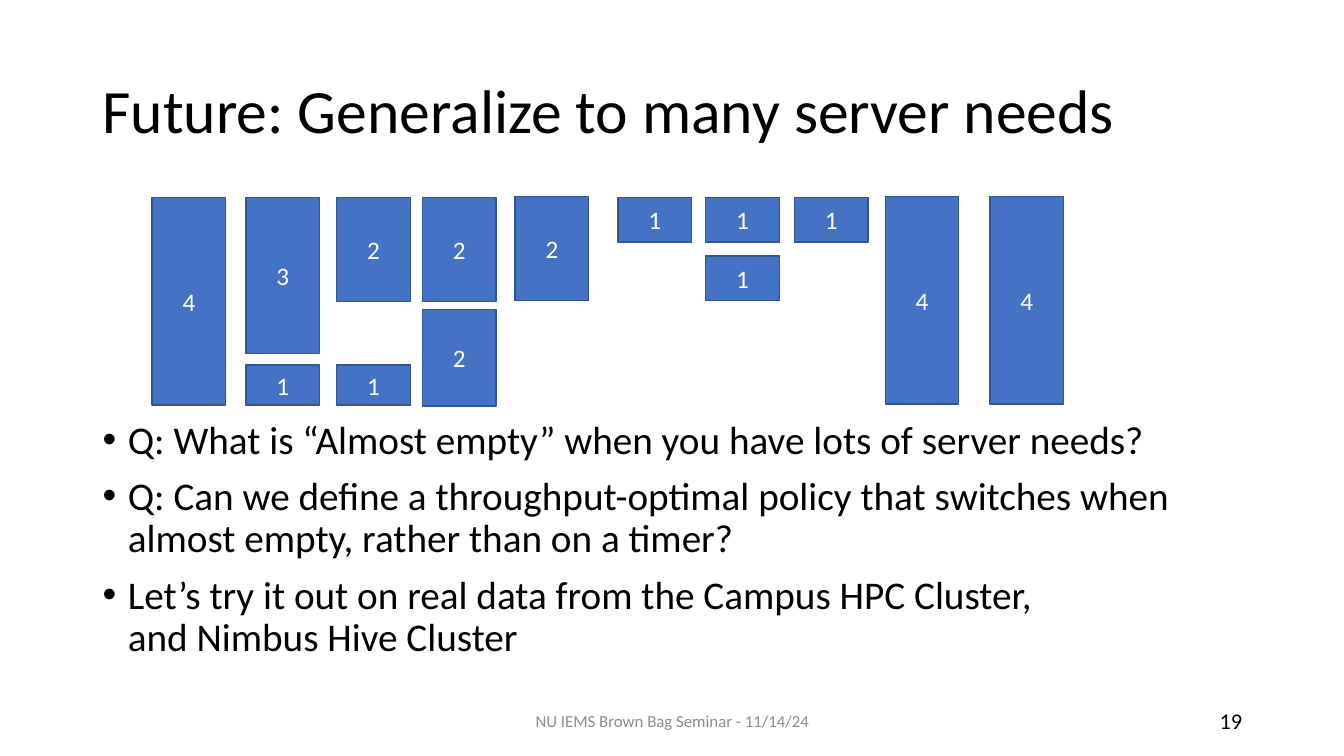
from lxml import etree
from pptx import Presentation
from pptx import util as u
from pptx.dml.color import RGBColor
from pptx.enum import shapes, text
from pptx.oxml.ns import qn

FONT = "Calibri"
BLACK, WHITE, GREY = "000000", "FFFFFF", "8C8C8C"
JOB_FILL, JOB_LINE = "4472C4", "325491"
JOB_WIDTH = 0.73

# Each job: server need, left, top, height
JOBS = [
    (4, 1.51, 1.96, 2.06),
    (3, 2.44, 1.96, 1.55),
    (1, 2.44, 3.62, 0.4),
    (2, 3.34, 1.96, 1.03),
    (1, 3.34, 3.62, 0.4),
    (2, 4.19, 1.96, 1.03),
    (2, 4.19, 3.07, 0.96),
    (2, 5.11, 1.95, 1.03),
    (1, 6.13, 1.96, 0.44),
    (1, 7, 1.96, 0.44),
    (1, 7, 2.54, 0.44),
    (1, 7.88, 1.96, 0.44),
    (4, 8.78, 1.95, 2.06),
    (4, 9.82, 1.95, 2.06),
]

QUESTIONS = [
    "Q: What is “Almost empty” when you have lots of server needs?",
    "Q: Can we define a throughput-optimal policy that switches when "
    "almost empty, rather than on a timer?",
    "Let’s try it out on real data from the Campus HPC Cluster,\n"
    "and Nimbus Hive Cluster",
]


def rgb(value):
    return RGBColor.from_string(value)


def format_paragraph(paragraph, size, color, align):
    paragraph.alignment = align
    for run in paragraph.runs:
        run.font.name = FONT
        run.font.size = u.Pt(size)
        run.font.color.rgb = rgb(color)


def add_text(slide, box, lines, size, color=BLACK, align=text.PP_ALIGN.LEFT,
             anchor=text.MSO_ANCHOR.MIDDLE):
    shape = slide.shapes.add_textbox(*(u.Inches(length) for length in box))
    frame = shape.text_frame
    frame.word_wrap = True
    frame.vertical_anchor = anchor
    for index, line in enumerate(lines):
        paragraph = frame.add_paragraph() if index else frame.paragraphs[0]
        paragraph.text = line
        format_paragraph(paragraph, size, color, align)
    return frame


def add_bullet(paragraph):
    paragraph.line_spacing = 0.9
    paragraph.space_before = u.Pt(10)
    properties = paragraph._p.get_or_add_pPr()
    properties.set("marL", str(u.Inches(0.25)))
    properties.set("indent", str(u.Inches(-0.25)))
    etree.SubElement(properties, qn("a:buFont")).set("typeface", "Arial")
    etree.SubElement(properties, qn("a:buChar")).set("char", "•")


def add_job(slide, need, left, top, height):
    shape = slide.shapes.add_shape(
        shapes.MSO_SHAPE.RECTANGLE, u.Inches(left), u.Inches(top),
        u.Inches(JOB_WIDTH), u.Inches(height))
    shape.shadow.inherit = False
    shape.fill.solid()
    shape.fill.fore_color.rgb = rgb(JOB_FILL)
    shape.line.color.rgb = rgb(JOB_LINE)
    shape.line.width = u.Pt(1)
    frame = shape.text_frame
    frame.text = str(need)
    frame.vertical_anchor = text.MSO_ANCHOR.MIDDLE
    format_paragraph(frame.paragraphs[0], 18, WHITE, text.PP_ALIGN.CENTER)


def main():
    presentation = Presentation()
    presentation.slide_width = u.Inches(13.33)
    presentation.slide_height = u.Inches(7.5)
    slide = presentation.slides.add_slide(presentation.slide_layouts[6])

    # Title
    title = add_text(slide, (0.92, 0.4, 11.5, 1.45),
                     ["Future: Generalize to many server needs"], 44)
    title.paragraphs[0].line_spacing = 0.9

    # Open questions
    body = add_text(slide, (0.92, 4.12, 11.5, 2.63), QUESTIONS, 28,
                    anchor=text.MSO_ANCHOR.TOP)
    for paragraph in body.paragraphs:
        add_bullet(paragraph)

    # Footer and slide number
    add_text(slide, (4.42, 6.95, 4.5, 0.4),
             ["NU IEMS Brown Bag Seminar - 11/14/24"], 12, GREY,
             text.PP_ALIGN.CENTER)
    add_text(slide, (9.42, 6.95, 3, 0.4), ["19"], 16,
             align=text.PP_ALIGN.RIGHT)

    # Jobs, labelled by server need
    for job in JOBS:
        add_job(slide, *job)

    presentation.save("out.pptx")


if __name__ == "__main__":
    main()
